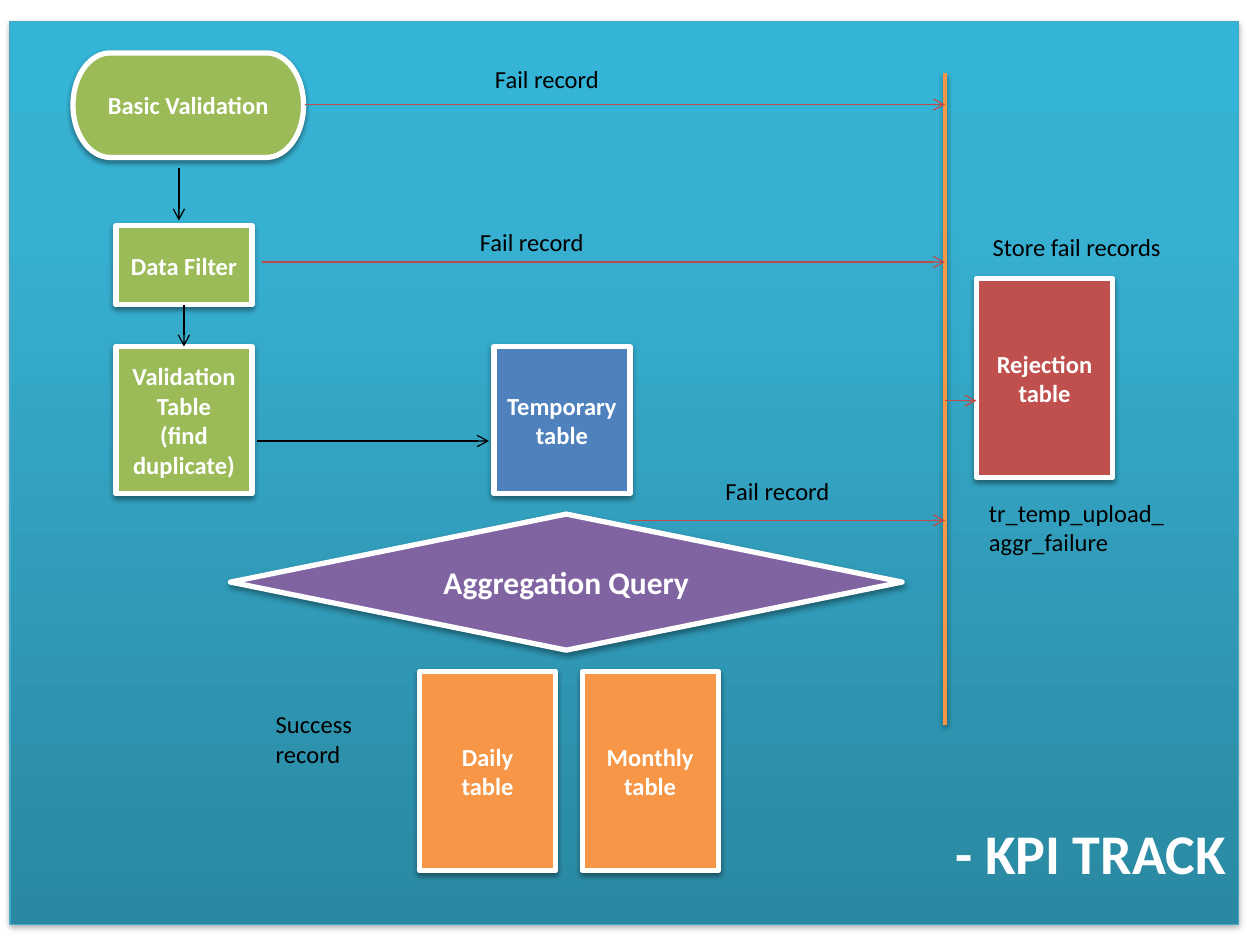
from typing import NamedTuple

from lxml.etree import SubElement
from pptx import Presentation
from pptx.dml.color import RGBColor
from pptx.enum.shapes import MSO_CONNECTOR as Connector, MSO_SHAPE as Shape
from pptx.enum.text import MSO_ANCHOR as Anchor, PP_ALIGN as Align
from pptx.oxml.ns import qn
from pptx.util import Inches, Pt

GREEN, ORANGE, RED = "9BBB59", "F79646", "C0504D"
BLUE, PURPLE, FAIL_RED = "4F81BD", "8064A2", "BF4C48"
BLACK, WHITE = "000000", "FFFFFF"
REJECT_X = 7.5
BOX_WIDTH = 1.08


class Node(NamedTuple):
    """A filled step of the flow."""
    text: str
    left: float
    top: float
    width: float
    height: float
    fill: str
    kind: Shape = Shape.RECTANGLE
    size: int = 14


class Line(NamedTuple):
    """A straight line, with an arrowhead unless it is a rail."""
    x1: float
    y1: float
    x2: float
    y2: float
    color: str
    width: float = 0.75
    arrow: bool = True


class Label(NamedTuple):
    """A free caption."""
    text: str
    left: float
    top: float
    width: float
    height: float = 0.34


NODES = [
    Node("Basic Validation", 0.58, 0.42, 1.83, 0.83, GREEN, Shape.FLOWCHART_TERMINATOR),
    Node("Data Filter", 0.92, 1.79, BOX_WIDTH, 0.63, GREEN),
    Node("Validation\nTable\n(find duplicate)", 0.92, 2.75, BOX_WIDTH, 1.17, GREEN),
    Node("Temporary\ntable", 3.92, 2.75, BOX_WIDTH, 1.17, BLUE),
    Node("Rejection\ntable", 7.75, 2.21, BOX_WIDTH, 1.58, RED),
    Node("Aggregation Query", 1.83, 4.08, 5.33, 1.08, PURPLE, Shape.DIAMOND, 18),
    Node("Daily\ntable", 3.33, 5.33, BOX_WIDTH, 1.58, ORANGE),
    Node("Monthly\ntable", 4.62, 5.33, BOX_WIDTH, 1.58, ORANGE),
]
LINES = [
    Line(1.42, 1.33, 1.42, 1.75, BLACK),
    Line(1.46, 2.42, 1.46, 2.75, BLACK),
    Line(2.04, 3.5, 3.88, 3.5, BLACK),
    Line(REJECT_X, 0.58, REJECT_X, 5.75, ORANGE, 2, False),
    Line(2.42, 0.83, REJECT_X, 0.83, FAIL_RED),
    Line(2.08, 2.08, REJECT_X, 2.08, FAIL_RED),
    Line(5, 4.13, REJECT_X, 4.13, FAIL_RED),
    Line(REJECT_X, 3.18, 7.75, 3.18, FAIL_RED),
]
LABELS = [
    Label("Fail record", 3.83, 0.46, 1.83),
    Label("Fail record", 3.71, 1.75, 1.83),
    Label("Fail record", 5.66, 3.73, 1.83),
    Label("Store fail records", 7.78, 1.79, 1.83),
    Label("tr_temp_upload_aggr_failure", 7.75, 3.9, 1.67, 0.57),
    Label("Success record", 2.09, 5.58, 1.07, 0.57),
]


def rgb(color: str) -> RGBColor:
    """Turn a hex string into a colour."""
    return RGBColor.from_string(color)


def write(shape, text: str, *, size: int = 14, color: str = WHITE, bold: bool = True,
          align: Align = Align.CENTER, anchor: Anchor = Anchor.MIDDLE) -> None:
    """Fill a shape with formatted paragraphs, one per line of text."""
    frame = shape.text_frame
    frame.word_wrap = True
    frame.vertical_anchor = anchor
    frame.text = text
    for paragraph in frame.paragraphs:
        paragraph.alignment = align
        font = paragraph.runs[0].font
        font.name, font.size, font.bold = "Calibri", Pt(size), bold
        font.color.rgb = rgb(color)


def set_shadow(properties, opacity: int = 0, distance: float = 1.6) -> None:
    """Replace the theme shadow; an opacity of zero leaves none."""
    effects = properties.find(qn("a:effectLst"))
    if effects is None:
        effects = SubElement(properties, qn("a:effectLst"))
    if opacity:
        shadow = SubElement(effects, qn("a:outerShdw"), blurRad=str(Pt(3.1)),
                            dist=str(Pt(distance)), dir="5400000", rotWithShape="0")
        color = SubElement(shadow, qn("a:srgbClr"), val=BLACK)
        SubElement(color, qn("a:alpha"), val=str(opacity * 1000))


def add_panel(slide) -> None:
    """Draw the gradient background panel with the title at its foot."""
    panel = slide.shapes.add_shape(Shape.FLOWCHART_PROCESS, Inches(0.08), Inches(0.17),
                                   Inches(9.75), Inches(7.17))
    panel.shadow.inherit = False
    panel.fill.gradient()
    panel.fill.gradient_angle = 90
    properties = panel._element.spPr
    stops = properties.find(".//" + qn("a:gsLst"))
    stops.clear()
    for position, color in [(0, "2A88A2"), (80, "37B1D2"), (100, "34B4D6")]:
        stop = SubElement(stops, qn("a:gs"), pos=str(position * 1000))
        SubElement(stop, qn("a:srgbClr"), val=color)
    panel.line.color.rgb = rgb("46AAC5")
    panel.line.width = Pt(0.75)
    set_shadow(properties, 35, 1.8)
    write(panel, "- KPI TRACK", size=32, align=Align.RIGHT, anchor=Anchor.BOTTOM)
    panel.text_frame.margin_bottom = Inches(0.31)


def add_node(slide, node: Node) -> None:
    """Draw one step with its white outline and shadow."""
    shape = slide.shapes.add_shape(node.kind, Inches(node.left), Inches(node.top),
                                   Inches(node.width), Inches(node.height))
    shape.shadow.inherit = False
    shape.fill.solid()
    shape.fill.fore_color.rgb = rgb(node.fill)
    shape.line.color.rgb = rgb(WHITE)
    shape.line.width = Pt(3)
    set_shadow(shape._element.spPr, 38)
    write(shape, node.text, size=node.size)


def add_line(slide, line: Line) -> None:
    """Draw one arrow, or the shadowed rail."""
    connector = slide.shapes.add_connector(Connector.STRAIGHT, Inches(line.x1), Inches(line.y1),
                                           Inches(line.x2), Inches(line.y2))
    connector.line.color.rgb = rgb(line.color)
    connector.line.width = Pt(line.width)
    properties = connector._element.spPr
    if line.arrow:
        SubElement(properties.find(qn("a:ln")), qn("a:tailEnd"), type="arrow")
    set_shadow(properties, 0 if line.arrow else 38)


def add_label(slide, label: Label) -> None:
    """Place one black caption."""
    box = slide.shapes.add_textbox(Inches(label.left), Inches(label.top),
                                   Inches(label.width), Inches(label.height))
    write(box, label.text, color=BLACK, bold=False, align=Align.LEFT, anchor=Anchor.TOP)


def main() -> None:
    """Build and save the slide."""
    presentation = Presentation()
    presentation.slide_width, presentation.slide_height = Inches(10), Inches(7.5)
    slide = presentation.slides.add_slide(presentation.slide_layouts[6])
    add_panel(slide)
    for node in NODES:
        add_node(slide, node)
    for line in LINES:
        add_line(slide, line)
    for label in LABELS:
        add_label(slide, label)
    presentation.save("out.pptx")


main()
